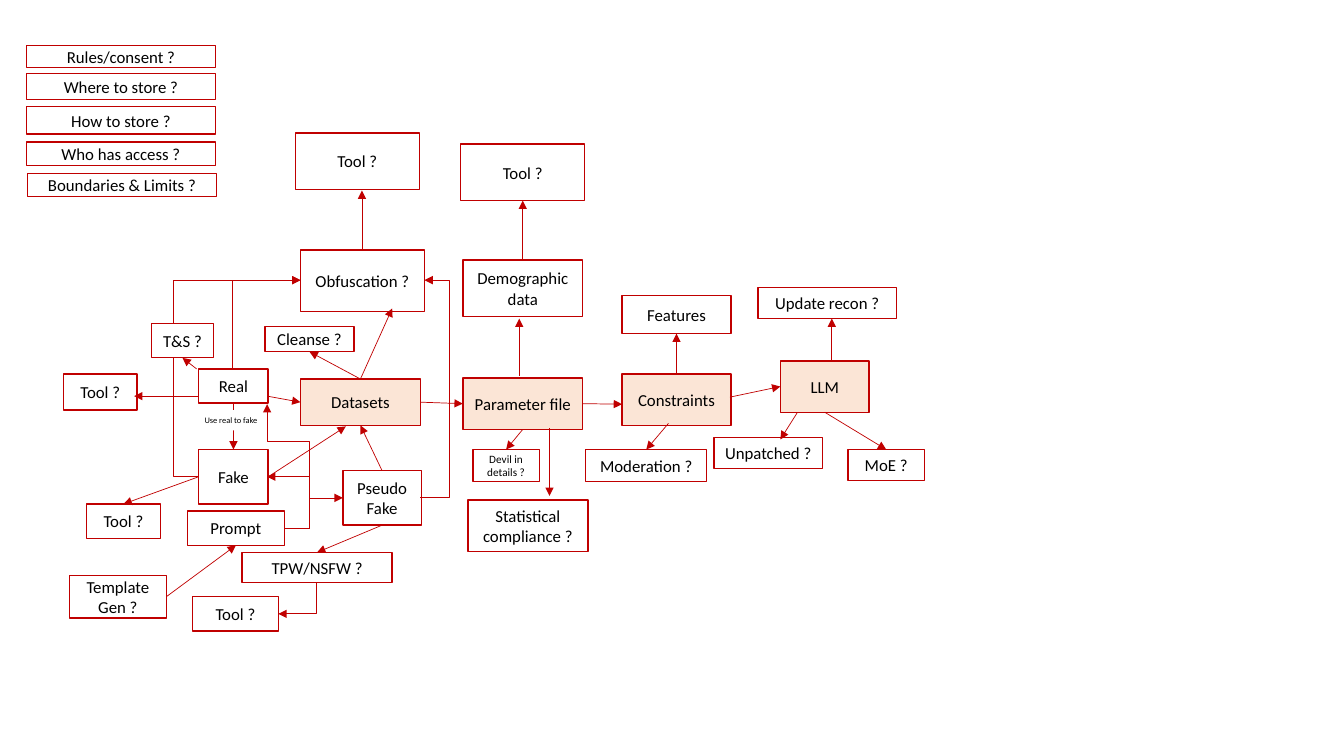
from dataclasses import dataclass

from lxml.etree import SubElement
from pptx import Presentation
from pptx.dml.color import RGBColor
from pptx.enum.shapes import MSO_CONNECTOR, MSO_SHAPE
from pptx.enum.text import MSO_ANCHOR, PP_ALIGN
from pptx.oxml.ns import qn
from pptx.util import Inches, Pt


@dataclass(frozen=True)
class Theme:
    font: str = "Calibri"
    text: RGBColor = RGBColor(0x00, 0x00, 0x00)
    line: RGBColor = RGBColor(0xC0, 0x00, 0x00)
    plain: RGBColor = RGBColor(0xFF, 0xFF, 0xFF)
    stage: RGBColor = RGBColor(0xFB, 0xE5, 0xD6)
    body: int = 12
    detail: int = 8
    note: int = 6
    border: float = 1
    arrow: float = 0.5


THEME = Theme()
TOP, LEFT, BOTTOM, RIGHT = range(4)

# Governance questions: text, left, top, height
QUESTION_WIDTH = 1.88
QUESTIONS = [
    ("Rules/consent ?", 0.26, 0.45, 0.22),
    ("Where to store ?", 0.26, 0.73, 0.26),
    ("How to store ?", 0.26, 1.06, 0.27),
    ("Who has access ?", 0.26, 1.41, 0.23),
    ("Boundaries & Limits ?", 0.27, 1.72, 0.23),
]

# Boxes: text and left, top, width, height
STAGES = {
    "datasets": ("Datasets", (2.98, 3.76, 1.19, 0.46)),
    "parameters": ("Parameter file", (4.59, 3.75, 1.19, 0.51)),
    "constraints": ("Constraints", (6.17, 3.71, 1.08, 0.51)),
    "llm": ("LLM", (7.74, 3.58, 0.88, 0.51)),
}
TOPICS = {
    "obfuscation": ("Obfuscation ?", (2.98, 2.48, 1.23, 0.61)),
    "obfuscation tool": ("Tool ?", (2.93, 1.32, 1.23, 0.56)),
    "cleanse": ("Cleanse ?", (2.63, 3.24, 0.88, 0.25)),
    "real": ("Real", (1.97, 3.66, 0.69, 0.34)),
    "real tool": ("Tool ?", (0.63, 3.71, 0.73, 0.36)),
    "fake": ("Fake", (1.97, 4.46, 0.69, 0.54)),
    "fake tool": ("Tool ?", (0.86, 5, 0.73, 0.34)),
    "pseudo": ("Pseudo\nFake", (3.4, 4.67, 0.78, 0.54)),
    "prompt": ("Prompt", (1.86, 5.07, 0.96, 0.34)),
    "template": ("Template Gen ?", (0.69, 5.71, 0.96, 0.42)),
    "tpw": ("TPW/NSFW ?", (2.4, 5.48, 1.49, 0.3)),
    "tpw tool": ("Tool ?", (1.91, 5.92, 0.85, 0.34)),
    "demographic": ("Demographic data", (4.59, 2.58, 1.19, 0.56)),
    "demographic tool": ("Tool ?", (4.57, 1.43, 1.23, 0.56)),
    "compliance": ("Statistical compliance ?", (4.64, 4.96, 1.19, 0.51)),
    "features": ("Features", (6.17, 2.93, 1.08, 0.38)),
    "moderation": ("Moderation ?", (5.81, 4.46, 1.2, 0.32)),
    "update": ("Update recon ?", (7.52, 2.85, 1.37, 0.31)),
    "unpatched": ("Unpatched ?", (7.08, 4.34, 1.08, 0.31)),
    "moe": ("MoE ?", (8.41, 4.46, 0.76, 0.31)),
}
DEVIL = ("Devil in details ?", (4.69, 4.46, 0.66, 0.32))
SAFETY = ("T&S ?", (1.5, 3.21, 0.62, 0.34))
NOTE = ("Use real to fake", (1.93, 4.07, 0.89, 0.2))

# Straight arrows: each end is (box, side) or (x, y)
NOTED_ARROW = (("real", BOTTOM), ("fake", TOP))
ARROWS = [
    (("datasets", RIGHT), ("parameters", LEFT)),
    (("datasets", TOP), (3.89, 3.06)),
    (("datasets", TOP), ("cleanse", BOTTOM)),
    ((3.59, 2.47), (3.59, 1.89)),
    ((2.65, 3.93), ("datasets", LEFT)),
    ((1.97, 3.93), (1.33, 3.93)),
    ((1.95, 3.66), ("safety", BOTTOM)),
    (("fake", RIGHT), (3.43, 4.23)),
    (("fake", LEFT), ("fake tool", TOP)),
    (("pseudo", TOP), ("datasets", BOTTOM)),
    (("pseudo", BOTTOM), ("tpw", TOP)),
    (("template", RIGHT), ("prompt", BOTTOM)),
    ((5.15, 3.73), (5.15, 3.16)),
    (("demographic", TOP), ("demographic tool", BOTTOM)),
    ((5.45, 4.25), (5.45, 4.92)),
    (("parameters", BOTTOM), ("devil", TOP)),
    (("parameters", RIGHT), (6.17, 4.01)),
    (("constraints", TOP), ("features", BOTTOM)),
    ((6.63, 4.2), ("moderation", TOP)),
    ((7.24, 3.94), ("llm", LEFT)),
    ((8.25, 3.57), (8.25, 3.16)),
    ((7.91, 4.09), (7.74, 4.36)),
    (("llm", BOTTOM), ("moe", TOP)),
]

# Elbows leaving sideways: start, end, first turn x, second turn y (if any)
SIDE_ELBOWS = [
    ((1.97, 4.73), (2.98, 2.78), 1.72, None),
    ((4.17, 4.94), (4.21, 2.78), 4.46, None),
    ((2.82, 5.24), (3.4, 4.94), 3.07, None),
    ((2.82, 5.24), (2.65, 4.73), 3.07, None),
    ((2.82, 5.24), (2.65, 4.01), 3.07, 4.38),
]
# Elbows leaving up or down with a single corner: start, end
CORNER_ELBOWS = [((2.31, 3.66), (2.98, 2.78)), ((3.14, 5.78), (2.76, 6.09))]

deck = Presentation()
deck.slide_width, deck.slide_height = Inches(13.33), Inches(7.5)
page = deck.slides.add_slide(deck.slide_layouts[6])
boxes = {}


def format_text(frame, size, align):
    frame.word_wrap = True
    for para in frame.paragraphs:
        para.alignment = align
        for span in para.runs:
            span.font.name = THEME.font
            span.font.size = Pt(size)
            span.font.color.rgb = THEME.text


def add_box(text, place, fill=THEME.plain, size=THEME.body):
    box = page.shapes.add_shape(MSO_SHAPE.RECTANGLE, *map(Inches, place))
    box.shadow.inherit = False
    box.fill.solid()
    box.fill.fore_color.rgb = fill
    box.line.color.rgb = THEME.line
    box.line.width = Pt(THEME.border)
    box.text_frame.text = text
    box.text_frame.vertical_anchor = MSO_ANCHOR.MIDDLE
    format_text(box.text_frame, size, PP_ALIGN.CENTER)
    return box


def add_arrow(start, end, kind=MSO_CONNECTOR.STRAIGHT):
    arrow = page.shapes.add_connector(kind, *map(Inches, (*start, *end)))
    arrow.line.color.rgb = THEME.line
    arrow.line.width = Pt(THEME.arrow)
    SubElement(arrow.line._get_or_add_ln(), qn("a:tailEnd"), type="triangle")
    SubElement(arrow._element.spPr, qn("a:effectLst"))
    return arrow


def link(start, end):
    points = [(0, 0) if point[0] in boxes else point for point in (start, end)]
    arrow = add_arrow(*points)
    for point, join in ((start, arrow.begin_connect), (end, arrow.end_connect)):
        if point[0] in boxes:
            join(boxes[point[0]], point[1])


def set_bend(arrow, preset, ratios=()):
    geometry = arrow._element.spPr.find(qn("a:prstGeom"))
    geometry.set("prst", preset)
    guides = geometry.find(qn("a:avLst"))
    for number, ratio in enumerate(ratios, 1):
        SubElement(guides, qn("a:gd"), name=f"adj{number}",
                   fmla=f"val {round(ratio * 100000)}")


# Boxes
for text, left, top, height in QUESTIONS:
    add_box(text, (left, top, QUESTION_WIDTH, height))
for group, fill in ((STAGES, THEME.stage), (TOPICS, THEME.plain)):
    for name, (text, place) in group.items():
        boxes[name] = add_box(text, place, fill)
boxes["devil"] = add_box(*DEVIL, size=THEME.detail)

# Note over the arrow from Real to Fake, beneath the elbows
link(*NOTED_ARROW)
text, place = NOTE
note = page.shapes.add_textbox(*map(Inches, place))
note.fill.solid()
note.fill.fore_color.rgb = THEME.plain
note.text_frame.text = text
format_text(note.text_frame, THEME.note, PP_ALIGN.LEFT)

# Elbow arrows
for (x1, y1), (x2, y2), turn_x, turn_y in SIDE_ELBOWS:
    ratios = [(turn_x - x1) / (x2 - x1)]
    if turn_y is not None:
        ratios.append((turn_y - y1) / (y2 - y1))
    elbow = add_arrow((x1, y1), (x2, y2), MSO_CONNECTOR.ELBOW)
    set_bend(elbow, f"bentConnector{len(ratios) + 2}", ratios)

for (x1, y1), (x2, y2) in CORNER_ELBOWS:
    # Lay the ends out a quarter turn back, then rotate the connector
    mid_x, mid_y = (x1 + x2) / 2, (y1 + y2) / 2
    half_x, half_y = (x2 - x1) / 2, (y2 - y1) / 2
    elbow = add_arrow((mid_x - half_y, mid_y + half_x),
                      (mid_x + half_y, mid_y - half_x), MSO_CONNECTOR.ELBOW)
    set_bend(elbow, "bentConnector2")
    elbow._element.spPr.find(qn("a:xfrm")).set("rot", str(90 * 60000))

# This box sits over the elbow from Fake
boxes["safety"] = add_box(*SAFETY)

# Straight arrows, joined wherever an end names a box
for start, end in ARROWS:
    link(start, end)

deck.save("out.pptx")
